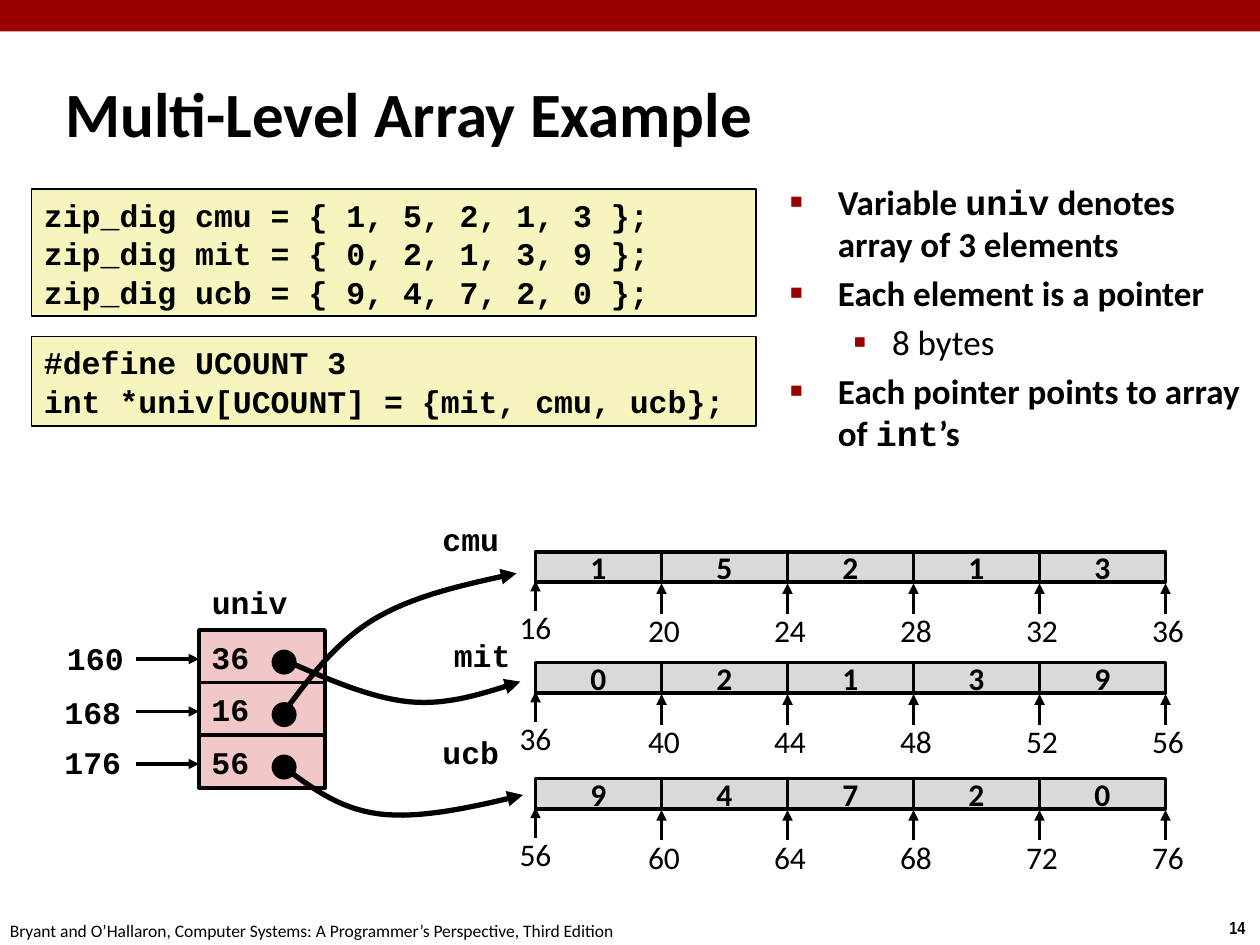
"""Build the slide that explains a multi-level array with pointers to three digit arrays."""
from dataclasses import dataclass
from typing import Optional

import pptx
import pptx.dml.color
import pptx.enum.shapes
import pptx.enum.text
import pptx.oxml.ns
import pptx.util
from lxml import etree

Inches = pptx.util.Inches
Pt = pptx.util.Pt
RGBColor = pptx.dml.color.RGBColor
Shape = pptx.enum.shapes.MSO_SHAPE
Align = pptx.enum.text.PP_ALIGN
Anchor = pptx.enum.text.MSO_ANCHOR
qn = pptx.oxml.ns.qn

BLACK = RGBColor(0x00, 0x00, 0x00)
CRIMSON = RGBColor(0x99, 0x00, 0x00)
CODE_YELLOW = RGBColor(0xF6, 0xF5, 0xBD)
POINTER_PINK = RGBColor(0xF1, 0xC7, 0xC7)
DIGIT_GRAY = RGBColor(0xD9, 0xD9, 0xD9)
SANS = "Calibri"
MONO = "Courier New"


@dataclass(frozen=True)
class Style:
    size: float = 18
    font: str = MONO
    bold: bool = True
    align: Align = Align.LEFT
    anchor: Anchor = Anchor.TOP
    wrap: bool = True
    spacing: Optional[float] = None


@dataclass(frozen=True)
class DigitArray:
    name: str
    name_left: float
    name_top: float
    top: float
    address: int
    digits: tuple


@dataclass(frozen=True)
class Pointer:
    address: str
    value: str
    label_left: float
    label_top: float
    curve: tuple


@dataclass(frozen=True)
class Bullet:
    runs: tuple
    level: int = 0
    bold: bool = True


CODE = Style(spacing=22)
LABEL = Style(align=Align.RIGHT, wrap=False)
POINTER_VALUE = Style(anchor=Anchor.MIDDLE)
DIGIT = Style(font=SANS, align=Align.CENTER, anchor=Anchor.MIDDLE)
ADDRESS = Style(font=SANS, bold=False, align=Align.CENTER)
FOOTER = Style(size=10, font=SANS, bold=False, wrap=False)
PAGE = Style(size=10, font="Arial Narrow", wrap=False)

ARRAYS = (
    DigitArray("cmu", 3.41, 4.08, 4.38, 16, (1, 5, 2, 1, 3)),
    DigitArray("mit", 3.5, 5, 5.26, 36, (0, 2, 1, 3, 9)),
    DigitArray("ucb", 3.41, 5.77, 6.18, 56, (9, 4, 7, 2, 0)),
)
POINTERS = (
    Pointer("160", "36", 0.43, 5.02, (
        (2.26, 5.24), (2.6, 5.39), (2.94, 5.54), (3.25, 5.57),
        (3.56, 5.6), (3.85, 5.5), (4.13, 5.41))),
    Pointer("168", "16", 0.41, 5.45, (
        (2.24, 5.67), (2.45, 5.39), (2.65, 5.11), (2.96, 4.92),
        (3.27, 4.73), (3.68, 4.64), (4.1, 4.55))),
    Pointer("176", "56", 0.41, 5.85, (
        (2.24, 6.08), (2.47, 6.25), (2.69, 6.42), (3.01, 6.46),
        (3.33, 6.5), (3.74, 6.41), (4.15, 6.31))),
)
BULLETS = (
    Bullet((("Variable ", SANS), ("univ", MONO), (" denotes array of 3 elements", SANS))),
    Bullet((("Each element is a pointer", SANS),)),
    Bullet((("8 bytes", SANS),), level=1, bold=False),
    Bullet((("Each pointer points to array of ", SANS), ("int", MONO), ("’s", SANS))),
)
BULLET_MARKS = (("■", "60000", 0.38, -0.38), ("▪", "110000", 0.81, -0.31))


def place(part, left: float, top: float, width: float, height: float) -> None:
    part.left, part.top = Inches(left), Inches(top)
    part.width, part.height = Inches(width), Inches(height)


def format_run(run, size: float, font: str, bold: bool) -> None:
    run.font.size, run.font.name, run.font.bold = Pt(size), font, bold
    run.font.color.rgb = BLACK


def write(frame, wording: str, style: Style) -> None:
    frame.text = wording
    frame.word_wrap = style.wrap
    frame.vertical_anchor = style.anchor
    for paragraph in frame.paragraphs:
        paragraph.alignment = style.align
        if style.spacing:
            paragraph.line_spacing = Pt(style.spacing)
        for run in paragraph.runs:
            format_run(run, style.size, style.font, style.bold)


def add_label(slide, box: tuple, wording: str, style: Style) -> None:
    label = slide.shapes.add_textbox(*map(Inches, box))
    write(label.text_frame, wording, style)


def add_block(slide, box: tuple, fill: RGBColor, line: float = 0,
              wording: str = "", style: Style = CODE, kind: Shape = Shape.RECTANGLE) -> None:
    block = slide.shapes.add_shape(kind, *map(Inches, box))
    block.shadow.inherit = False
    block.fill.solid()
    block.fill.fore_color.rgb = fill
    if line:
        block.line.color.rgb, block.line.width = BLACK, Pt(line)
    else:
        block.line.fill.background()
    if wording:
        write(block.text_frame, wording, style)


def finish_arrow(arrow, width: float) -> None:
    arrow.line.color.rgb, arrow.line.width = BLACK, Pt(width)
    properties = arrow.line._get_or_add_ln()
    etree.SubElement(properties, qn("a:tailEnd"), type="triangle")


def add_arrow(slide, start: tuple, end: tuple) -> None:
    arrow = slide.shapes.add_connector(
        pptx.enum.shapes.MSO_CONNECTOR.STRAIGHT, *map(Inches, start + end))
    finish_arrow(arrow, 2)
    etree.SubElement(arrow._element.spPr, qn("a:effectLst"))


def bezier_point(controls: tuple, t: float) -> tuple:
    weights = ((1 - t) ** 3, 3 * t * (1 - t) ** 2, 3 * t * t * (1 - t), t ** 3)
    return tuple(Inches(sum(w * c[axis] for w, c in zip(weights, controls))) for axis in (0, 1))


def add_curve(slide, controls: tuple, steps: int = 16) -> None:
    points = [bezier_point(controls[first:first + 4], step / steps)
              for first in (0, 3) for step in range(1, steps + 1)]
    builder = slide.shapes.build_freeform(*map(Inches, controls[0]))
    builder.add_line_segments(points, close=False)
    curve = builder.convert_to_shape()
    curve.shadow.inherit = False
    curve.fill.background()
    finish_arrow(curve, 3)


def add_bullets(body) -> None:
    place(body, 6.17, 1.38, 3.83, 2.5)
    frame = body.text_frame
    frame.auto_size = pptx.enum.text.MSO_AUTO_SIZE.NONE
    frame.text = "\n".join("".join(text for text, _ in bullet.runs) for bullet in BULLETS)
    for paragraph, bullet in zip(frame.paragraphs, BULLETS):
        paragraph.text = ""
        paragraph.level = bullet.level
        for text, font in bullet.runs:
            run = paragraph.add_run()
            run.text = text
            format_run(run, 20, font, bullet.bold)
        mark, size, margin, indent = BULLET_MARKS[bullet.level]
        properties = paragraph._p.get_or_add_pPr()
        properties.set("marL", str(Inches(margin)))
        properties.set("indent", str(Inches(indent)))
        color = etree.SubElement(properties, qn("a:buClr"))
        etree.SubElement(color, qn("a:srgbClr"), val=str(CRIMSON))
        etree.SubElement(properties, qn("a:buSzPct"), val=size)
        etree.SubElement(properties, qn("a:buFont"), typeface="Arial")
        etree.SubElement(properties, qn("a:buChar"), char=mark)


def add_pointer(slide, index: int, pointer: Pointer) -> None:
    top = 5 + index * 1.25 / 3
    add_block(slide, (1.58, top, 1, 0.42), POINTER_PINK, 2, pointer.value, POINTER_VALUE)
    add_arrow(slide, (1.08, top + 0.23), (1.58, top + 0.23))
    add_label(slide, (pointer.label_left, pointer.label_top, 0.65, 0.4), pointer.address, LABEL)
    add_block(slide, (2.17, top + 0.17, 0.17, 0.17), BLACK, 2, kind=Shape.OVAL)


def add_array(slide, array: DigitArray) -> None:
    add_label(slide, (array.name_left, array.name_top, 0.65, 0.4), array.name, LABEL)
    for column, digit in enumerate(array.digits):
        add_block(slide, (4.25 + column, array.top, 1, 0.24), DIGIT_GRAY, 2, str(digit), DIGIT)
    for column in range(len(array.digits) + 1):
        edge = 4.25 + column
        center, drop = (edge + 0.02, 0.25) if column else (edge, 0.23)
        add_arrow(slide, (edge, array.top + drop + 0.24), (edge, array.top + drop))
        add_label(slide, (center - 0.54, array.top + drop + 0.17, 1.08, 0.4),
                  str(array.address + 4 * column), ADDRESS)


def main() -> None:
    deck = pptx.Presentation()
    deck.slide_width, deck.slide_height = Inches(10), Inches(7.5)
    slide = deck.slides.add_slide(deck.slide_layouts[1])
    add_block(slide, (0, 0, 10, 0.25), CRIMSON)
    add_label(slide, (9.66, 7.23, 0.34, 0.27), "14", PAGE)
    add_label(slide, (-0.02, 7.25, 5.08, 0.27), "Bryant and O’Hallaron, Computer Systems: "
              "A Programmer’s Perspective, Third Edition", FOOTER)
    title = slide.shapes.title
    place(title, 0.42, 0.58, 7.78, 0.63)
    write(title.text_frame, "Multi-Level Array Example",
          Style(size=36, font=SANS, anchor=Anchor.MIDDLE))
    add_bullets(slide.placeholders[1])
    definitions = "\n".join(
        f"zip_dig {array.name} = {{ {', '.join(map(str, array.digits))} }};" for array in ARRAYS)
    add_block(slide, (0.25, 1.5, 5.75, 1.01), CODE_YELLOW, 1, definitions)
    add_block(slide, (0.25, 2.67, 5.75, 0.71), CODE_YELLOW, 1,
              "#define UCOUNT 3\nint *univ[UCOUNT] = {mit, cmu, ucb};")
    add_label(slide, (1.58, 4.58, 0.8, 0.4), "univ", LABEL)
    for index, pointer in enumerate(POINTERS):
        add_pointer(slide, index, pointer)
    for array in ARRAYS:
        add_array(slide, array)
    for pointer in POINTERS:
        add_curve(slide, pointer.curve)
    deck.save("out.pptx")


if __name__ == "__main__":
    main()
